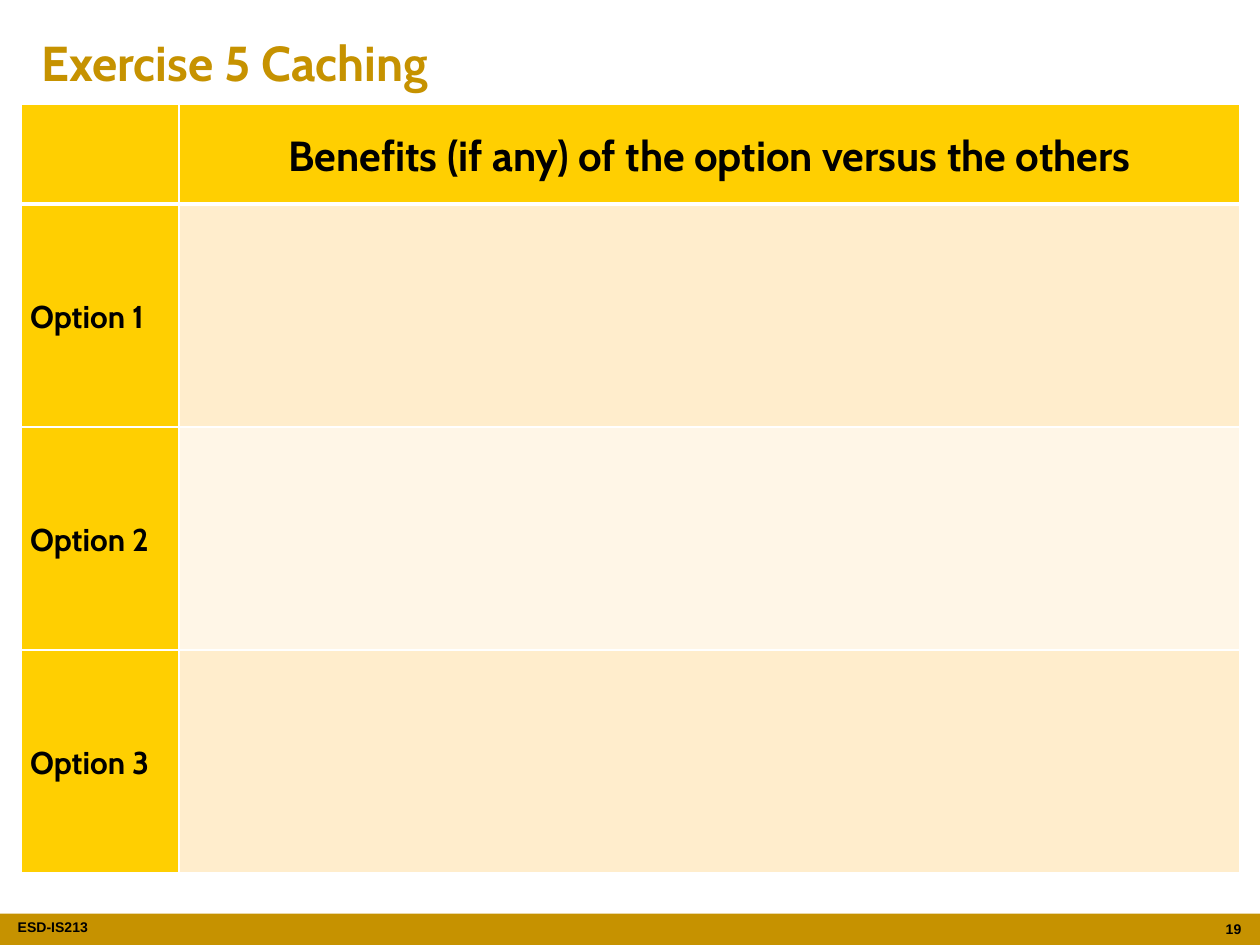
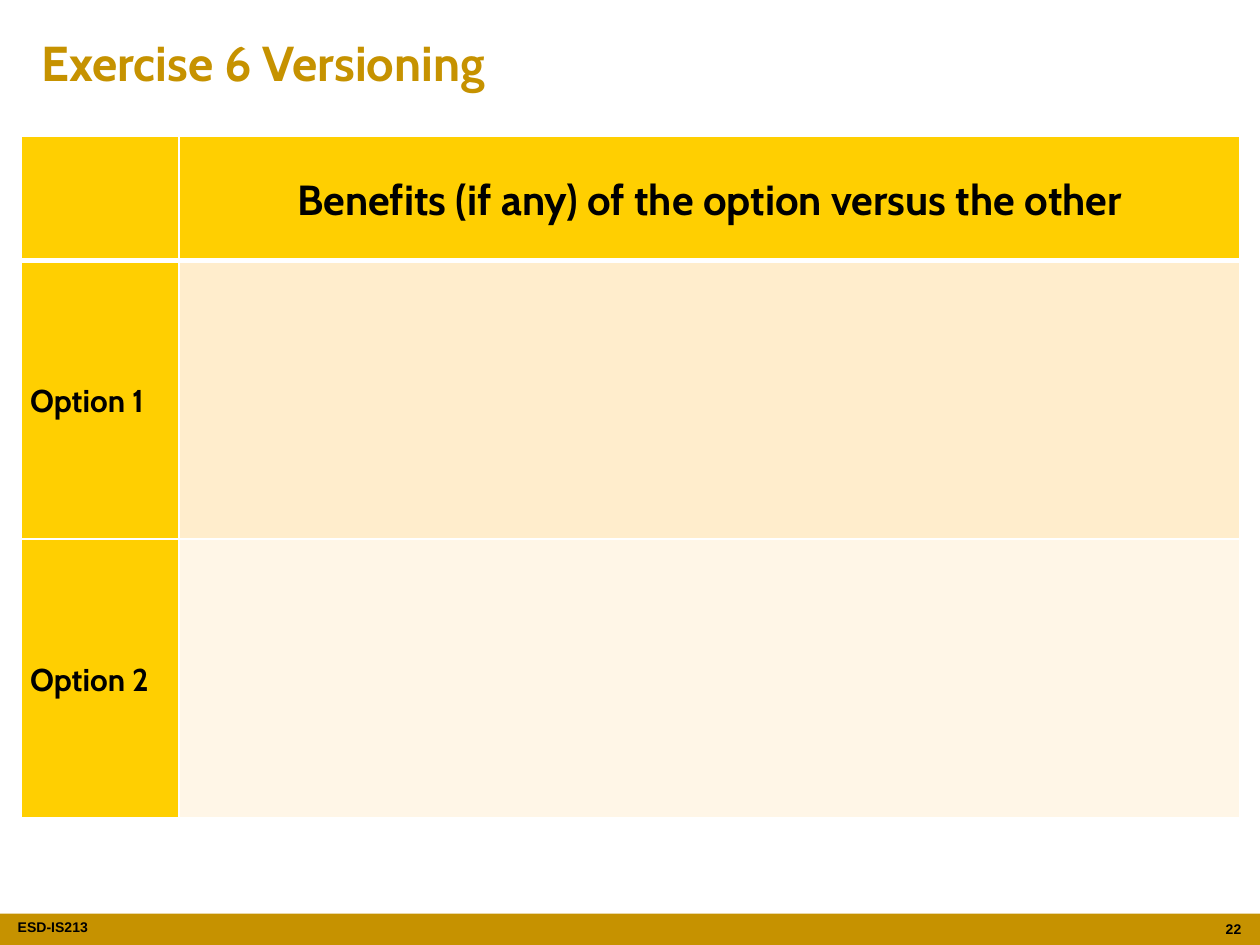
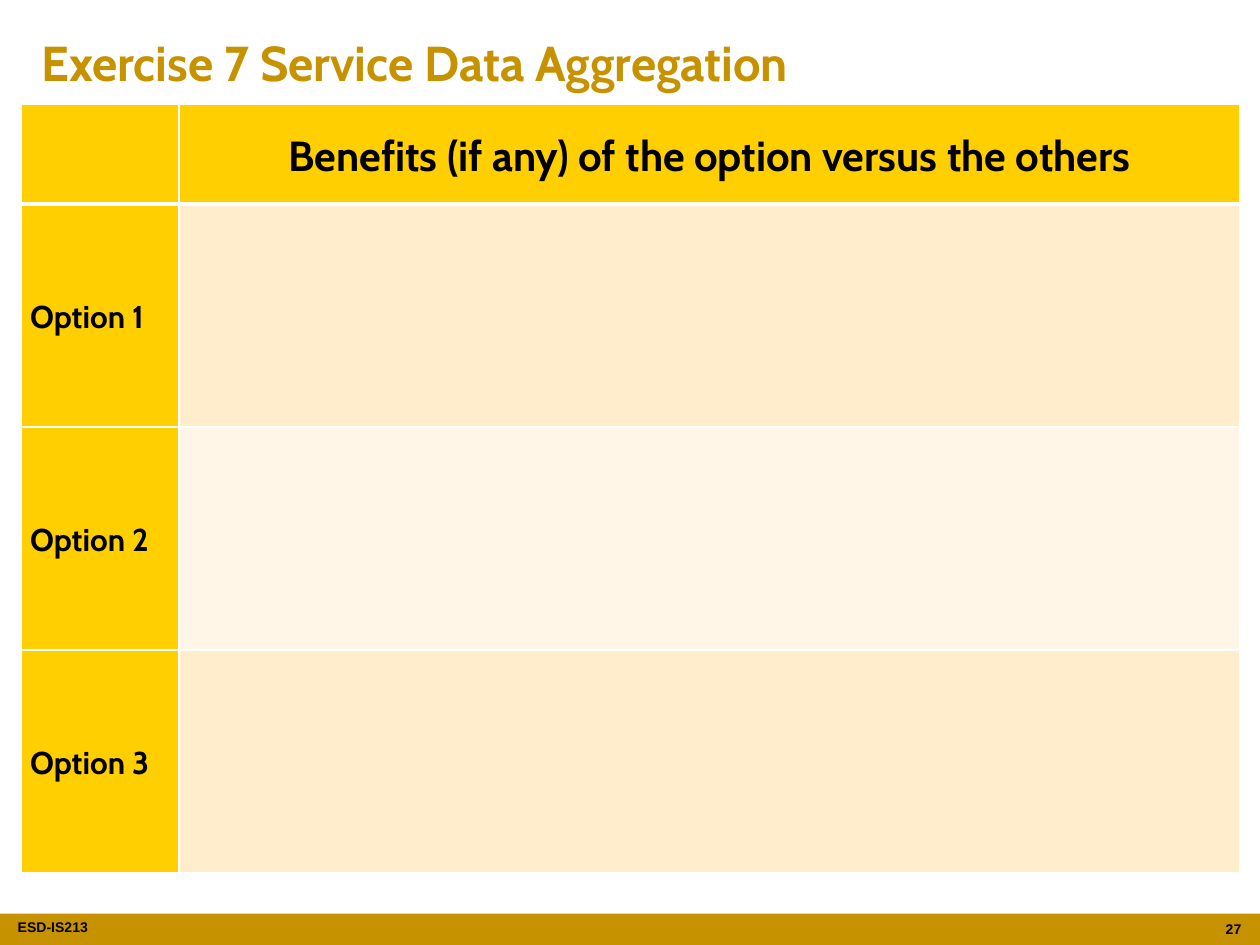
"""Build three exercise slides, each comparing the benefits of several options."""
from dataclasses import dataclass

from lxml import etree
from pptx import Presentation
from pptx.dml.color import RGBColor
from pptx.enum.shapes import MSO_SHAPE
from pptx.enum.text import MSO_ANCHOR, MSO_AUTO_SIZE, PP_ALIGN
from pptx.oxml.ns import qn
from pptx.presentation import Presentation as Deck
from pptx.slide import Slide
from pptx.table import _Cell as Cell
from pptx.text.text import _Paragraph as Paragraph
from pptx.util import Inches, Pt

RECTANGLE = MSO_SHAPE.RECTANGLE
TOP, MIDDLE = MSO_ANCHOR.TOP, MSO_ANCHOR.MIDDLE
GROW = MSO_AUTO_SIZE.SHAPE_TO_FIT_TEXT
LEFT, CENTER, RIGHT, JUSTIFY = PP_ALIGN.LEFT, PP_ALIGN.CENTER, PP_ALIGN.RIGHT, PP_ALIGN.JUSTIFY

COLORS = {
    "band": "C69200",
    "heading": "FFCF01",
    "odd_row": "FFEDCC",
    "even_row": "FFF6E7",
    "rule": "FFFFFF",
    "text": "000000",
}
BODY_FONT, FOOTER_FONT = "Cabin", "Arial"
COURSE = "ESD-IS213"
SLIDE_WIDTH, SLIDE_HEIGHT, BAND_HEIGHT = 10, 7.5, 0.25
TABLE_LEFT, LABEL_WIDTH, BENEFITS_WIDTH = 0.17, 1.25, 8.42
THIN, THICK = 1, 3


@dataclass(frozen=True)
class TextStyle:
    """Font and alignment of a line of text."""
    size: int
    font: str = BODY_FONT
    color: str = "text"
    align: PP_ALIGN = LEFT


@dataclass(frozen=True)
class TextPlace:
    """Box, side inset and anchoring of a text that every slide has."""
    left: float
    top: float
    width: float
    height: float
    style: TextStyle
    inset: float = 0.1
    anchor: MSO_ANCHOR = TOP
    grows: bool = False


@dataclass(frozen=True)
class Exercise:
    """One exercise slide and the measures of its table."""
    title: str
    page: int
    question: str
    options: int
    top: float
    header_height: float
    option_height: float


TITLE = TextPlace(0.23, 0.21, 9.54, 0.57, TextStyle(28, color="band"), anchor=MIDDLE, grows=True)
COURSE_NOTE = TextPlace(0.14, 7.24, 1.29, 0.25, TextStyle(8, FOOTER_FONT), inset=0)
PAGE_NUMBER = TextPlace(9.56, 7.26, 0.39, 0.24, TextStyle(8, FOOTER_FONT, align=RIGHT))
QUESTION_STYLE = TextStyle(24, align=CENTER)
OPTION_STYLE = TextStyle(18, align=JUSTIFY)

EXERCISES = [
    Exercise("Exercise 5 Caching", 19,
             "Benefits (if any) of the option versus the others", 3, 0.83, 0.79, 1.77),
    Exercise("Exercise 6 Versioning", 22,
             "Benefits (if any) of the option versus the other", 2, 1.08, 0.99, 2.21),
    Exercise("Exercise 7 Service Data Aggregation", 27,
             "Benefits (if any) of the option versus the others", 3, 0.83, 0.79, 1.77),
]


def rgb(name: str) -> RGBColor:
    """Look up a named colour."""
    return RGBColor.from_string(COLORS[name])


def style_line(line: Paragraph, style: TextStyle) -> None:
    """Apply a text style to a paragraph and its runs."""
    line.alignment = style.align
    for run in line.runs:
        run.font.name = style.font
        run.font.size = Pt(style.size)
        run.font.bold = True
        run.font.color.rgb = rgb(style.color)


def add_text(slide: Slide, place: TextPlace, words: str) -> None:
    """Write a shared text in its place."""
    box = slide.shapes.add_textbox(
        Inches(place.left), Inches(place.top), Inches(place.width), Inches(place.height))
    frame = box.text_frame
    frame.word_wrap = True
    frame.margin_left = frame.margin_right = Inches(place.inset)
    frame.vertical_anchor = place.anchor
    if place.grows:
        frame.auto_size = GROW
    frame.text = words
    style_line(frame.paragraphs[0], place.style)


def add_frame(slide: Slide, exercise: Exercise) -> None:
    """Draw the footer band, footer texts and title."""
    band = slide.shapes.add_shape(
        RECTANGLE, 0, Inches(SLIDE_HEIGHT - BAND_HEIGHT), Inches(SLIDE_WIDTH), Inches(BAND_HEIGHT))
    band.shadow.inherit = False
    band.fill.solid()
    band.fill.fore_color.rgb = rgb("band")
    band.line.fill.background()
    add_text(slide, COURSE_NOTE, COURSE)
    add_text(slide, PAGE_NUMBER, str(exercise.page))
    add_text(slide, TITLE, exercise.title)


def paint_cell(cell: Cell, fill: str, above: int, below: int) -> None:
    """Fill a cell and rule its four sides."""
    cell.fill.solid()
    cell.fill.fore_color.rgb = rgb(fill)
    properties = cell._tc.get_or_add_tcPr()
    sides = {"a:lnL": THIN, "a:lnR": THIN, "a:lnT": above, "a:lnB": below}
    for position, (side, width) in enumerate(sides.items()):
        rule = etree.Element(qn(side), w=str(Pt(width)))
        solid = etree.SubElement(rule, qn("a:solidFill"))
        etree.SubElement(solid, qn("a:srgbClr"), val=COLORS["rule"])
        properties.insert(position, rule)


def write_cell(cell: Cell, words: str, style: TextStyle) -> None:
    """Write a heading in a table cell."""
    cell.vertical_anchor = MIDDLE
    cell.margin_left = cell.margin_right = Inches(0.07)
    cell.margin_top = cell.margin_bottom = 0
    cell.text_frame.text = words
    line = cell.text_frame.paragraphs[0]
    line.line_spacing = 1.07
    style_line(line, style)


def add_options(slide: Slide, exercise: Exercise) -> None:
    """Draw the table of options and their benefits."""
    heights = [exercise.header_height] + [exercise.option_height] * exercise.options
    table = slide.shapes.add_table(
        len(heights), 2, Inches(TABLE_LEFT), Inches(exercise.top),
        Inches(LABEL_WIDTH + BENEFITS_WIDTH), Inches(sum(heights))).table
    for column, width in zip(table.columns, (LABEL_WIDTH, BENEFITS_WIDTH)):
        column.width = Inches(width)
    for number, height in enumerate(heights):
        table.rows[number].height = Inches(height)
        label, benefits = table.cell(number, 0), table.cell(number, 1)
        above = THICK if number == 1 else THIN
        below = THICK if number == 0 else THIN
        row_fill = "odd_row" if number % 2 else "even_row"
        paint_cell(label, "heading", above, below)
        paint_cell(benefits, row_fill if number else "heading", above, below)
        if number:
            write_cell(label, f"Option {number}", OPTION_STYLE)
        else:
            write_cell(benefits, exercise.question, QUESTION_STYLE)


def add_exercise(deck: Deck, exercise: Exercise) -> None:
    """Add one exercise slide."""
    slide = deck.slides.add_slide(deck.slide_layouts[6])
    add_frame(slide, exercise)
    add_options(slide, exercise)


def main() -> None:
    """Build and save the deck."""
    deck = Presentation()
    deck.slide_width, deck.slide_height = Inches(SLIDE_WIDTH), Inches(SLIDE_HEIGHT)
    for exercise in EXERCISES:
        add_exercise(deck, exercise)
    deck.save("out.pptx")


if __name__ == "__main__":
    main()
